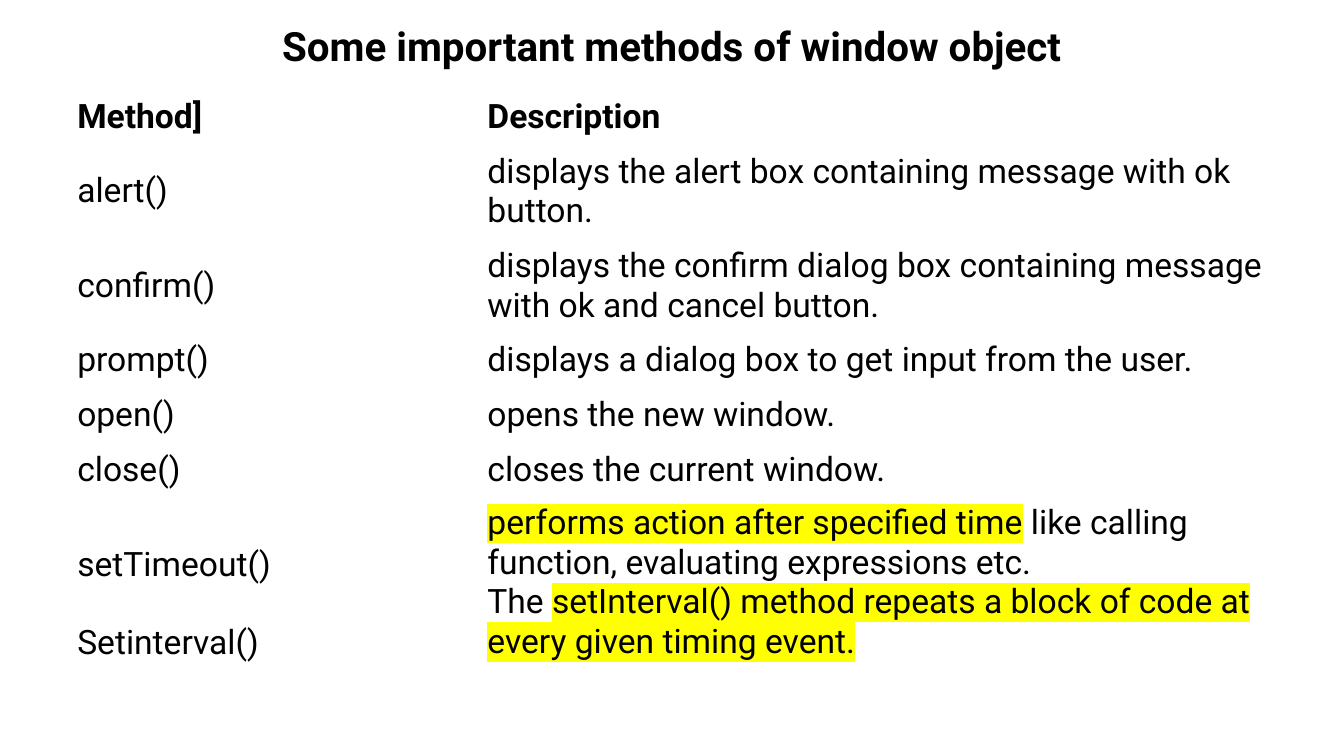
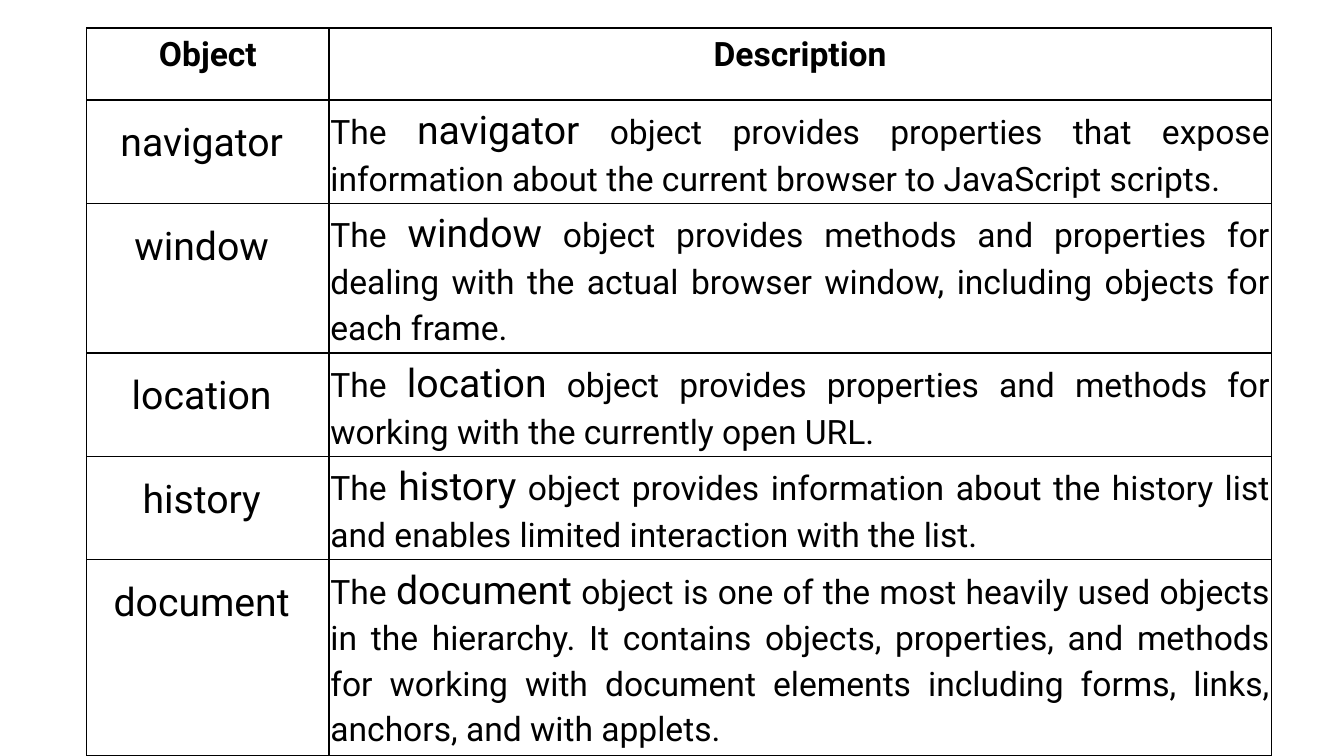
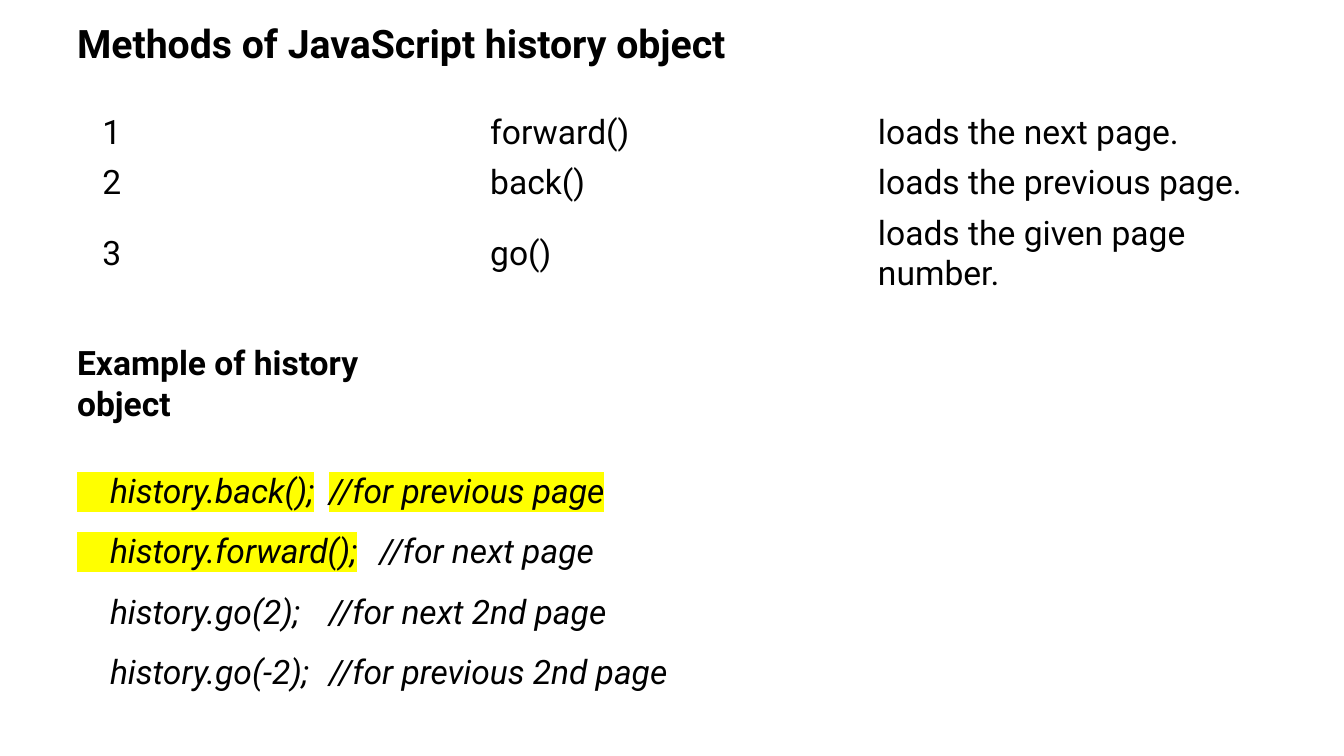
import lxml.etree
import pptx
import pptx.dml.color
import pptx.enum.text
import pptx.oxml
import pptx.oxml.ns
import pptx.util

Pt = pptx.util.Pt
qn = pptx.oxml.ns.qn
Align = pptx.enum.text.PP_ALIGN
Anchor = pptx.enum.text.MSO_ANCHOR

# Shared look
HUES = {"ink": "000000", "mark": "FFFF00"}
BODY = {"name": "Roboto", "size": Pt(24), "bold": False, "italic": False}
HEAD = {"bold": True}
WORD = {"size": Pt(28)}
CODE = {"italic": True}
MARK = {"mark": True}
TIGHT = {"line_spacing": 0.9}
LOOSE = {"line_spacing": 1.5}
MID = {"vertical_anchor": Anchor.MIDDLE}
INSET = Pt(1)
GRID = {"vertical_anchor": Anchor.TOP, "margin_left": INSET,
        "margin_right": INSET, "margin_top": INSET, "margin_bottom": INSET}
ROOMY = {"line_spacing": 1.15, "space_after": Pt(10)}

# Slide content
METHODS = [
    ("alert()", "displays the alert box containing message with ok button."),
    ("confirm()", "displays the confirm dialog box containing message with ok and cancel button."),
    ("prompt()", "displays a dialog box to get input from the user."),
    ("open()", "opens the new window."),
    ("close()", "closes the current window."),
]
TIMERS = [
    [("performs action after specified time", MARK),
     (" like calling function, evaluating expressions etc.", {})],
    [("The ", {}),
     ("setInterval() method repeats a block of code at every given timing event.", MARK)],
]
OBJECTS = [
    ("navigator", "provides properties that expose information about the current browser to JavaScript scripts."),
    ("window", "provides methods and properties for dealing with the actual browser window, including objects for each frame."),
    ("location", "provides properties and methods for working with the currently open URL."),
    ("history", "provides information about the history list and enables limited interaction with the list."),
    ("document", "is one of the most heavily used objects in the hierarchy. It contains objects, properties, and methods for working with document elements including forms, links, anchors, and with applets."),
]
MOVES = [
    ("1", "forward()", "loads the next page."),
    ("2", "back()", "loads the previous page."),
    ("3", "go()", "loads the given page number."),
]
LINES = [
    [("    history.back();\t//for previous page", MARK)],
    [("    history.forward();", MARK), ("\t//for next page", {})],
    [("    history.go(2);\t//for next 2nd page", {})],
    [("    history.go(-2);\t//for previous 2nd page", {})],
]


def apply(item, form):
    for key, value in form.items():
        setattr(item, key, value)


def add_run(para, text, form):
    run = para.add_run()
    run.text = text
    form = {**BODY, **form}
    mark = form.pop("mark", False)
    apply(run.font, form)
    run.font.color.rgb = pptx.dml.color.RGBColor.from_string(HUES["ink"])
    if mark:
        glow = pptx.oxml.parse_xml(
            f'<a:highlight {pptx.oxml.ns.nsdecls("a")}>'
            f'<a:srgbClr val="{HUES["mark"]}"/></a:highlight>')
        run.font._element.find(qn("a:solidFill")).addnext(glow)


def write(frame, text, style=None, layout=None):
    """Fill a frame from a string or a list of paragraphs made of runs."""
    paras = [[(text, {})]] if isinstance(text, str) else text
    for num, runs in enumerate(paras):
        para = frame.add_paragraph() if num else frame.paragraphs[0]
        apply(para, layout or {})
        for part, form in runs:
            add_run(para, part, {**(style or {}), **form})


def add_text(slide, box, text, style, layout=None, anchor=Anchor.TOP):
    frame = slide.shapes.add_textbox(*map(Pt, box)).text_frame
    apply(frame, {"word_wrap": True, "vertical_anchor": anchor})
    write(frame, text, style, layout)


def add_title(slide, box, text, size, align):
    add_text(slide, box, text, {**HEAD, "size": Pt(size)},
             {**TIGHT, "alignment": align}, Anchor.MIDDLE)


def add_edges(cell):
    props = cell._tc.get_or_add_tcPr()
    for side in "LRTB":
        line = lxml.etree.SubElement(props, qn(f"a:ln{side}"), w=str(Pt(1)))
        fill = lxml.etree.SubElement(line, qn("a:solidFill"))
        lxml.etree.SubElement(fill, qn("a:srgbClr"), val=HUES["ink"])


def add_table(slide, spot, cols, rows, form, edged=False):
    """Add an unfilled table and return it with its cells still empty."""
    size = (sum(cols), sum(rows))
    table = slide.shapes.add_table(
        len(rows), len(cols), *map(Pt, (*spot, *size))).table
    apply(table, {"first_row": False, "horz_banding": False})
    for col, width in zip(table.columns, cols):
        col.width = Pt(width)
    for row, height in zip(table.rows, rows):
        row.height = Pt(height)
    for cell in table.iter_cells():
        apply(cell, form)
        if edged:
            add_edges(cell)
        cell.fill.background()
    return table


def fill_row(table, row, texts, style=None, layout=None):
    for col, text in enumerate(texts):
        write(table.cell(row, col).text_frame, text, style, layout)


def show_methods(slide):
    add_title(slide, (66, 19.5, 828, 29.5),
              "Some important methods of window object", 28.8, Align.CENTER)
    table = add_table(slide, (48, 64), (293, 570),
                      (39, 67.5, 67.5, 39, 39, 39, 120), MID)
    fill_row(table, 0, ("Method]", "Description"), HEAD)
    for row, texts in enumerate(METHODS, 1):
        fill_row(table, row, texts)
    # Both timer names line up with the last line of their descriptions
    names = table.cell(6, 0)
    names.vertical_anchor = Anchor.BOTTOM
    write(names.text_frame, [[("setTimeout()", {})], [("Setinterval()", {})]])
    names.text_frame.paragraphs[1].space_before = Pt(28)
    write(table.cell(6, 1).text_frame, TIMERS)


def show_objects(slide):
    table = add_table(slide, (62, 20), (173, 673),
                      (51.5, 71.5, 104, 71.5, 71.5, 137), GRID, True)
    center = {**ROOMY, "alignment": Align.CENTER}
    spread = {**ROOMY, "alignment": Align.JUSTIFY}
    fill_row(table, 0, ("Object", "Description"), HEAD, center)
    for row, (name, about) in enumerate(OBJECTS, 1):
        label = [[(name, WORD), (" ", {"size": Pt(36)})]]
        story = [[("The ", {}), (name, WORD), (f" object {about}", {})]]
        write(table.cell(row, 0).text_frame, label, layout=center)
        write(table.cell(row, 1).text_frame, story, layout=spread)


def show_history(slide):
    add_title(slide, (48, 16, 517, 33),
              "Methods of JavaScript history object", 28, Align.LEFT)
    table = add_table(slide, (66, 77), [277] * 3, (35.25, 35.25, 63.5), MID)
    for row, texts in enumerate(MOVES):
        fill_row(table, row, texts)
    add_text(slide, (48, 241, 270, 36), "Example of history object", HEAD)
    add_text(slide, (48, 317.5, 508, 181), LINES, CODE, LOOSE)


def main():
    deck = pptx.Presentation()
    apply(deck, {"slide_width": Pt(960), "slide_height": Pt(540)})
    for show in (show_methods, show_objects, show_history):
        show(deck.slides.add_slide(deck.slide_layouts[6]))
    deck.save("out.pptx")


if __name__ == "__main__":
    main()
